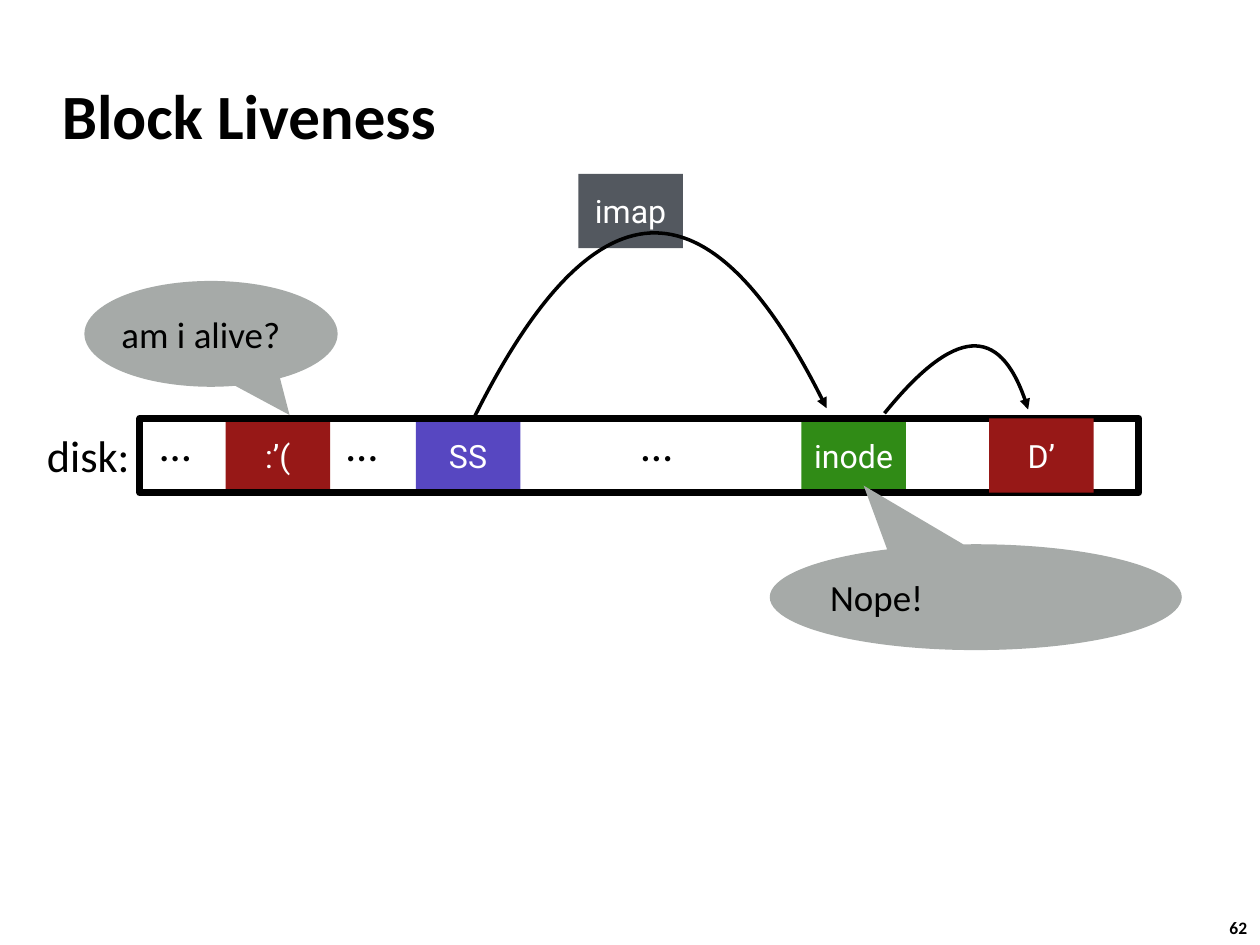
from dataclasses import dataclass

from lxml import etree
from pptx import Presentation
from pptx import util as u
from pptx.dml.color import RGBColor
from pptx.enum import shapes, text
from pptx.oxml.ns import qn

COLORS = {
    "black": "000000",
    "white": "FFFFFF",
    "data": "971817",
    "summary": "5747C1",
    "inode": "308B16",
    "imap": "53585F",
    "bubble": "A6AAA8",
}
BLOCK_WIDTH, BLOCK_HEIGHT = 0.83, 0.59
DISK_LEFT, DISK_TOP, DISK_WIDTH = 1.11, 3.32, 7.93
CURVE_STEPS = 40

Point = tuple[float, float]


@dataclass
class Block:
    label: str
    left: float
    color: str
    top: float = DISK_TOP


@dataclass
class Label:
    words: str
    left: float
    top: float
    width: float
    height: float
    size: float = 25.3
    inset: float = 0.04
    bold: bool = False
    align: text.PP_ALIGN = text.PP_ALIGN.LEFT
    anchor: text.MSO_ANCHOR = text.MSO_ANCHOR.MIDDLE


@dataclass
class Bubble:
    words: str
    left: float
    top: float
    width: float
    tip: Point
    height: float = 0.84


@dataclass
class Arc:
    start: Point
    control_1: Point
    control_2: Point
    end: Point

    def at(self, t: float) -> Point:
        s = 1 - t
        weights = (s**3, 3 * s * s * t, 3 * s * t * t, t**3)
        points = (self.start, self.control_1, self.control_2, self.end)
        return (sum(w * p[0] for w, p in zip(weights, points)),
                sum(w * p[1] for w, p in zip(weights, points)))


BLOCKS_UNDER_FRAME = [
    Block("inode", 6.36, "inode"),
    Block(":’(", 1.79, "data"),
    Block("SS", 3.3, "summary"),
]
BLOCKS_OVER_FRAME = [
    Block("imap", 4.59, "imap", top=1.38),
    Block("D’", 7.85, "data"),
]
LABELS = [
    Label("disk:", 0.31, 3.36, 0.76, 0.5, align=text.PP_ALIGN.RIGHT),
    *(Label("…", left, 3.27, 0.32, 0.5) for left in (1.23, 2.71, 5.05)),
    Label("62", 9.66, 7.23, 0.37, 0.27, size=10, inset=0.1, bold=True,
          anchor=text.MSO_ANCHOR.TOP),
]
ARCS = [
    Arc((3.75, 3.34), (4.71, 1.4), (5.64, 1.36), (6.56, 3.24)),
    Arc((7.02, 3.28), (7.58, 2.59), (7.96, 2.58), (8.16, 3.25)),
]
BUBBLES = [
    Bubble("am i alive?", 0.67, 2.23, 2.01, (0.31, 0.767)),
    Bubble("Nope!", 6.11, 4.32, 3.27, (-0.272, -1.054)),
]


def rgb(name: str) -> RGBColor:
    return RGBColor.from_string(COLORS[name])


def inches(*lengths: float) -> list[u.Length]:
    return [u.Inches(length) for length in lengths]


def write(shape, words: str, size: float, font: str = "Calibri",
          color: str = "black", bold: bool = False,
          align=text.PP_ALIGN.LEFT, anchor=text.MSO_ANCHOR.MIDDLE,
          inset: float = 0, wrap: bool = True) -> None:
    frame = shape.text_frame
    frame.word_wrap = wrap
    frame.vertical_anchor = anchor
    frame.margin_left = frame.margin_right = u.Inches(inset)
    frame.margin_top = frame.margin_bottom = u.Inches(min(inset, 0.05))
    paragraph = frame.paragraphs[0]
    paragraph.alignment = align
    run = paragraph.add_run()
    run.text = words
    run.font.name = font
    run.font.size = u.Pt(size)
    run.font.bold = bold
    run.font.color.rgb = rgb(color)


def add_filled(slide, kind, box: list[u.Length], color: str):
    shape = slide.shapes.add_shape(kind, *box)
    shape.shadow.inherit = False
    shape.fill.solid()
    shape.fill.fore_color.rgb = rgb(color)
    shape.line.fill.background()
    return shape


def add_block(slide, block: Block) -> None:
    box = inches(block.left, block.top, BLOCK_WIDTH, BLOCK_HEIGHT)
    shape = add_filled(slide, shapes.MSO_SHAPE.RECTANGLE, box, block.color)
    write(shape, block.label, 18.3, "Roboto", "white",
          align=text.PP_ALIGN.CENTER)


def add_bubble(slide, bubble: Bubble) -> None:
    box = inches(bubble.left, bubble.top, bubble.width, bubble.height)
    shape = add_filled(slide, shapes.MSO_SHAPE.OVAL_CALLOUT, box, "bubble")
    for index, value in enumerate(bubble.tip):
        shape.adjustments[index] = value
    write(shape, bubble.words, 21.1)


def add_label(slide, label: Label) -> None:
    box = inches(label.left, label.top, label.width, label.height)
    write(slide.shapes.add_textbox(*box), label.words, label.size,
          bold=label.bold, align=label.align, anchor=label.anchor,
          inset=label.inset, wrap=False)


def outline(shape, width: float) -> None:
    shape.shadow.inherit = False
    shape.fill.background()
    shape.line.color.rgb = rgb("black")
    shape.line.width = u.Pt(width)


def add_arc(slide, arc: Arc) -> None:
    # Points along the curve give the shape its exact bounds
    samples = [inches(*arc.at(i / CURVE_STEPS)) for i in range(CURVE_STEPS + 1)]
    builder = slide.shapes.build_freeform(*samples[0])
    builder.add_line_segments(samples[1:], close=False)
    shape = builder.convert_to_shape()
    outline(shape, 2)
    # One cubic segment takes the place of the straight ones
    path = next(shape.element.iter(qn("a:path")))
    for segment in path.findall(qn("a:lnTo")):
        path.remove(segment)
    curve = etree.SubElement(path, qn("a:cubicBezTo"))
    for point in (arc.control_1, arc.control_2, arc.end):
        x, y = inches(*point)
        etree.SubElement(curve, qn("a:pt"),
                         x=str(x - shape.left), y=str(y - shape.top))
    line = shape.element.spPr.find(qn("a:ln"))
    etree.SubElement(line, qn("a:tailEnd"), type="triangle")


def main() -> None:
    presentation = Presentation()
    presentation.slide_width, presentation.slide_height = inches(10, 7.5)
    slide = presentation.slides.add_slide(presentation.slide_layouts[5])

    # Title
    title = slide.shapes.title
    title.left, title.top, title.width, title.height = inches(0.39, 0.49, 8.3, 0.83)
    write(title, "Block Liveness", 36, bold=True, inset=0.1)

    # Disk with its blocks
    for block in BLOCKS_UNDER_FRAME:
        add_block(slide, block)
    disk = slide.shapes.add_shape(
        shapes.MSO_SHAPE.RECTANGLE,
        *inches(DISK_LEFT, DISK_TOP, DISK_WIDTH, BLOCK_HEIGHT))
    outline(disk, 4)
    for block in BLOCKS_OVER_FRAME:
        add_block(slide, block)

    # Labels, pointers and speech bubbles
    for label in LABELS:
        add_label(slide, label)
    for arc in ARCS:
        add_arc(slide, arc)
    for bubble in BUBBLES:
        add_bubble(slide, bubble)

    presentation.save("out.pptx")


if __name__ == "__main__":
    main()
